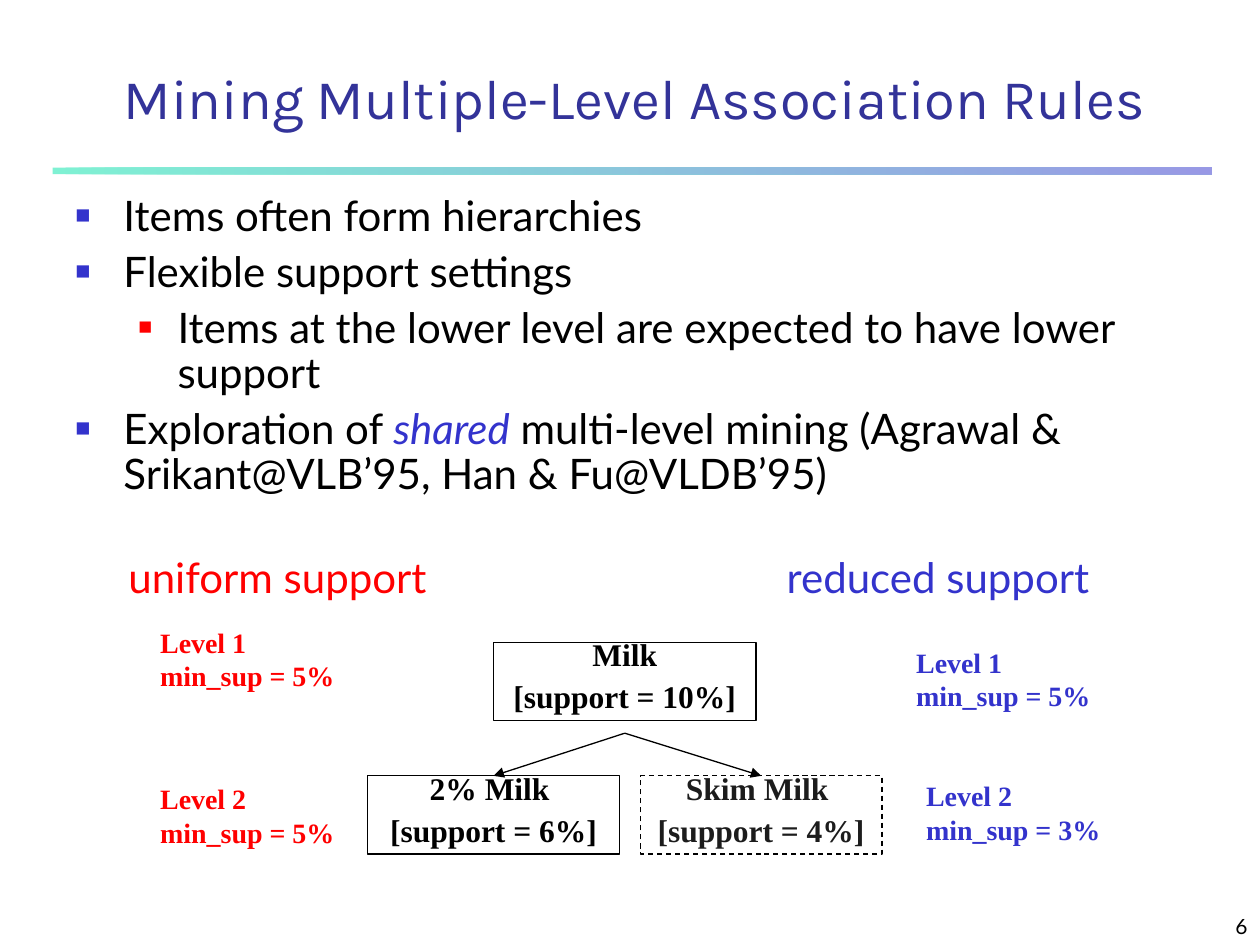
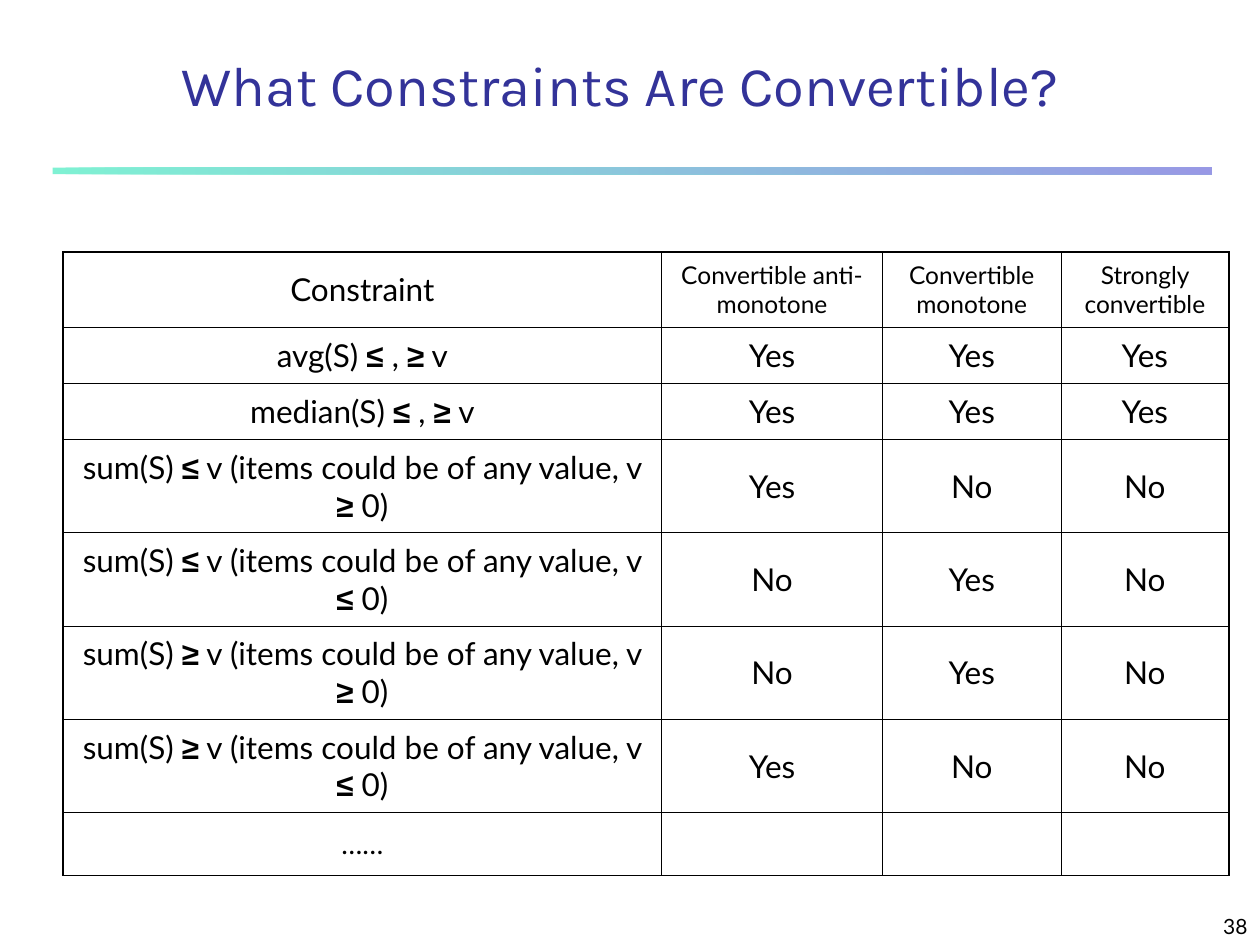
from itertools import groupby

from lxml import etree
from pptx import Presentation
from pptx.dml.color import RGBColor
from pptx.enum.dml import MSO_LINE
from pptx.enum.shapes import MSO_CONNECTOR, MSO_SHAPE
from pptx.enum.text import MSO_ANCHOR, MSO_AUTO_SIZE, PP_ALIGN
from pptx.oxml.ns import qn
from pptx.util import Cm, Pt

LEFT, CENTER, RIGHT = PP_ALIGN.LEFT, PP_ALIGN.CENTER, PP_ALIGN.RIGHT
TOP, MIDDLE, BOTTOM = MSO_ANCHOR.TOP, MSO_ANCHOR.MIDDLE, MSO_ANCHOR.BOTTOM
GROW = MSO_AUTO_SIZE.SHAPE_TO_FIT_TEXT
RECT, STRAIGHT, DASH = MSO_SHAPE.RECTANGLE, MSO_CONNECTOR.STRAIGHT, MSO_LINE.DASH

COLORS = {
    "title": "333399", "text": "000000", "faded": "1C1C1C", "paper": "FFFFFF",
    "blue": "3333CC", "red": "FF0000", "mint": "00E4A8",
}
HEAD_FONT, BODY_FONT, TREE_FONT, SYMBOL_FONT = "Karla", "Lato", "Times New Roman", "Arial"

# Bullet levels: left margin (cm), hanging indent (cm), colour, size (%)
BULLETS = [(0.97, 0.97, "blue", 60), (2.06, 0.79, "red", 55)]
THIN, THICK = 0.45, 1.08

POINTS = [
    (0, ["Items often form hierarchies"]),
    (0, ["Flexible support settings"]),
    (1, ["Items at the lower level are expected to have lower support"]),
    (0, ["Exploration of ", ("shared", {"color": "blue", "italic": True}),
         " multi-level mining (Agrawal & Srikant@VLB’95, Han & Fu@VLDB’95)"]),
]

COLUMNS = ["Constraint", "Convertible anti-monotone", "Convertible monotone",
           "Strongly convertible"]
COLUMN_WIDTHS = [12.07, 4.45, 3.6, 3.38]
CONSTRAINTS = [
    ("avg(S) ≤ , ≥ v", "Yes", "Yes", "Yes"),
    ("median(S) ≤ , ≥ v", "Yes", "Yes", "Yes"),
    ("sum(S) ≤ v (items could be of any value, v ≥ 0)", "Yes", "No", "No"),
    ("sum(S) ≤ v (items could be of any value, v ≤ 0)", "No", "Yes", "No"),
    ("sum(S) ≥ v (items could be of any value, v ≥ 0)", "No", "Yes", "No"),
    ("sum(S) ≥ v (items could be of any value, v ≤ 0)", "Yes", "No", "No"),
    ("……", "", "", ""),
]
ROW_HEIGHTS = [1.52] + [1.13] * 2 + [1.88] * 4 + [1.27]


def rgb(name):
    return RGBColor.from_string(COLORS[name])


def sub(parent, tag, **attrs):
    return etree.SubElement(parent, qn(tag), {k: str(v) for k, v in attrs.items()})


def write(p, runs, size=18, font=BODY_FONT, color="text", bold=False, italic=False,
          align=LEFT, before=0, spacing=None):
    """Fill a paragraph; a run is a string or a (string, format changes) pair."""
    p.alignment = align
    p.space_before = Pt(before)
    if spacing:
        p.line_spacing = spacing
    base = dict(size=size, font=font, color=color, bold=bold, italic=italic)
    for run in [runs] if isinstance(runs, str) else runs:
        text, changes = (run, {}) if isinstance(run, str) else run
        look = {**base, **changes}
        r = p.add_run()
        r.text = text
        r.font.size, r.font.name = Pt(look["size"]), look["font"]
        r.font.bold, r.font.italic = look["bold"], look["italic"]
        r.font.color.rgb = rgb(look["color"])


def write_lines(tf, lines, **fmt):
    for i, line in enumerate(lines):
        write(tf.add_paragraph() if i else tf.paragraphs[0], line, **fmt)


def add_text(slide, box, lines, anchor=TOP, wrap=True, **fmt):
    tf = slide.shapes.add_textbox(*map(Cm, box)).text_frame
    tf.word_wrap, tf.vertical_anchor = wrap, anchor
    if not wrap:
        tf.auto_size = GROW
    write_lines(tf, lines, **fmt)
    return tf


def add_rect(slide, box):
    sp = slide.shapes.add_shape(RECT, *map(Cm, box))
    sp.shadow.inherit = False
    return sp


def make_half_clear(sp):
    for color in sp.fill._xPr.findall(".//" + qn("a:srgbClr")):
        if color.getparent().getparent().tag != qn("a:ln"):
            sub(color, "a:alpha", val=50000)


def add_band(slide, box):
    sp = add_rect(slide, box)
    sp.line.fill.background()
    sp.fill.gradient()
    sp.fill.gradient_angle = 0
    for stop, name in zip(sp.fill.gradient_stops, ("mint", "blue")):
        stop.color.rgb = rgb(name)
    make_half_clear(sp)


def add_frame(prs, title, title_box, number):
    """Add a slide with the shared title, band and page number."""
    slide = prs.slides.add_slide(prs.slide_layouts[6])
    add_band(slide, (1.06, 3.38, 23.37, 0.13))
    add_text(slide, (20.12, 17.98, 5.28, 1.07), [number], anchor=BOTTOM,
             size=12, align=RIGHT)
    add_text(slide, title_box, [title], anchor=BOTTOM, size=32,
             font=HEAD_FONT, color="title", align=CENTER)
    return slide


def add_bullets(slide, box, points):
    tf = add_text(slide, box, [runs for _, runs in points], size=24, before=6, spacing=0.9)
    for p, (level, _) in zip(tf.paragraphs, points):
        margin, hang, color, percent = BULLETS[level]
        p.level = level
        pPr = p._p.get_or_add_pPr()
        pPr.set("marL", str(Cm(margin)))
        pPr.set("indent", str(-Cm(hang)))
        sub(sub(pPr, "a:buClr"), "a:srgbClr", val=COLORS[color])
        sub(pPr, "a:buSzPct", val=percent * 1000)
        sub(pPr, "a:buFont", typeface=SYMBOL_FONT)
        sub(pPr, "a:buChar", char="■")


def add_node(slide, box, lines, faded=False):
    sp = add_rect(slide, box)
    sp.fill.solid()
    sp.fill.fore_color.rgb = rgb("paper")
    sp.line.color.rgb = rgb("text")
    sp.line.width = Pt(0.75)
    if faded:
        make_half_clear(sp)
        sp.line.dash_style = DASH
    tf = sp.text_frame
    tf.word_wrap, tf.vertical_anchor = True, TOP
    write_lines(tf, lines, font=TREE_FONT, bold=True, align=CENTER, before=11.2,
                spacing=0.6, color="faded" if faded else "text")


def add_arrow(slide, start, end):
    line = slide.shapes.add_connector(STRAIGHT, *map(Cm, start + end))
    line.line.color.rgb = rgb("text")
    line.line.width = Pt(0.75)
    sub(line.line._get_or_add_ln(), "a:tailEnd", type="triangle")
    sub(line._element.spPr, "a:effectLst")


def add_support_tree(slide, left, top):
    """Draw the milk hierarchy between the two support schemes."""
    schemes = [
        ("uniform support", "red", 0, [(0.64, 1.48, 5), (0.64, 4.64, 5)]),
        ("reduced support", "blue", 13.27, [(15.88, 1.88, 5), (16.08, 4.57, 3)]),
    ]
    for name, color, x, levels in schemes:
        add_text(slide, (left + x, top, 7.14, 1.27), [name], size=24, color=color)
        for level, (dx, dy, percent) in enumerate(levels, 1):
            add_text(slide, (left + dx, top + dy, 4.02, 1.62),
                     [f"Level {level}", f"min_sup = {percent}%"], wrap=False,
                     size=16, font=TREE_FONT, color=color, bold=True)

    height, root_y, child_y = 1.58, top + 1.95, top + 4.64
    root_x, root_width = left + 7.61, 5.29
    add_node(slide, (root_x, root_y, root_width, height), ["Milk", "[support = 10%]"])
    apex = (root_x + root_width / 2, root_y + height + 0.25)
    children = [("2% Milk ", 6, 5.07, 5.08, False), ("Skim Milk ", 4, 10.57, 4.87, True)]
    for name, support, x, width, faded in children:
        add_node(slide, (left + x, child_y, width, height),
                 [name, f"[support = {support}%]"], faded)
        add_arrow(slide, apex, (left + x + width / 2, child_y))


def symbol_runs(text):
    """Set comparison signs in the bold symbol font."""
    bold = {"font": SYMBOL_FONT, "bold": True}
    return [("".join(part), bold if is_sign else {})
            for is_sign, part in groupby(text, lambda ch: ch in "≤≥")]


def set_borders(cell, thick_sides):
    tcPr = cell._tc.get_or_add_tcPr()
    for side in "LRTB":
        width = THICK if side in thick_sides else THIN
        ln = sub(tcPr, f"a:ln{side}", w=Pt(width))
        sub(sub(ln, "a:solidFill"), "a:srgbClr", val=COLORS["text"])


def add_constraint_table(slide, left, top):
    rows = [COLUMNS] + CONSTRAINTS
    last_row, last_col = len(rows) - 1, len(COLUMNS) - 1
    box = (left, top, sum(COLUMN_WIDTHS), sum(ROW_HEIGHTS))
    table = slide.shapes.add_table(len(rows), len(COLUMNS), *map(Cm, box)).table
    table.first_row = table.horz_banding = False
    for column, width in zip(table.columns, COLUMN_WIDTHS):
        column.width = Cm(width)
    for i, (row, height) in enumerate(zip(rows, ROW_HEIGHTS)):
        table.rows[i].height = Cm(height)
        for j, text in enumerate(row):
            cell = table.cell(i, j)
            edges = {"L": j == 0, "R": j == last_col, "T": i == 0, "B": i == last_row}
            set_borders(cell, [side for side, outer in edges.items() if outer])
            cell.fill.background()
            cell.vertical_anchor = MIDDLE
            size = 14 if i == 0 and j else 16 if i == last_row else 18
            write(cell.text_frame.paragraphs[0], symbol_runs(text), size=size,
                  align=CENTER, before=size / 4)


def main():
    prs = Presentation()
    prs.slide_width, prs.slide_height = Cm(25.4), Cm(19.05)

    slide = add_frame(prs, "Mining Multiple-Level Association Rules",
                      (1.9, 1.06, 21.8, 1.7), "6")
    add_bullets(slide, (1.27, 3.81, 23.28, 6.56), POINTS)
    add_support_tree(slide, 2.34, 11)

    slide = add_frame(prs, "What Constraints Are Convertible?",
                      (2.33, 0.84, 20.37, 1.65), "38")
    add_constraint_table(slide, 1.27, 5.08)

    prs.save("out.pptx")


if __name__ == "__main__":
    main()
